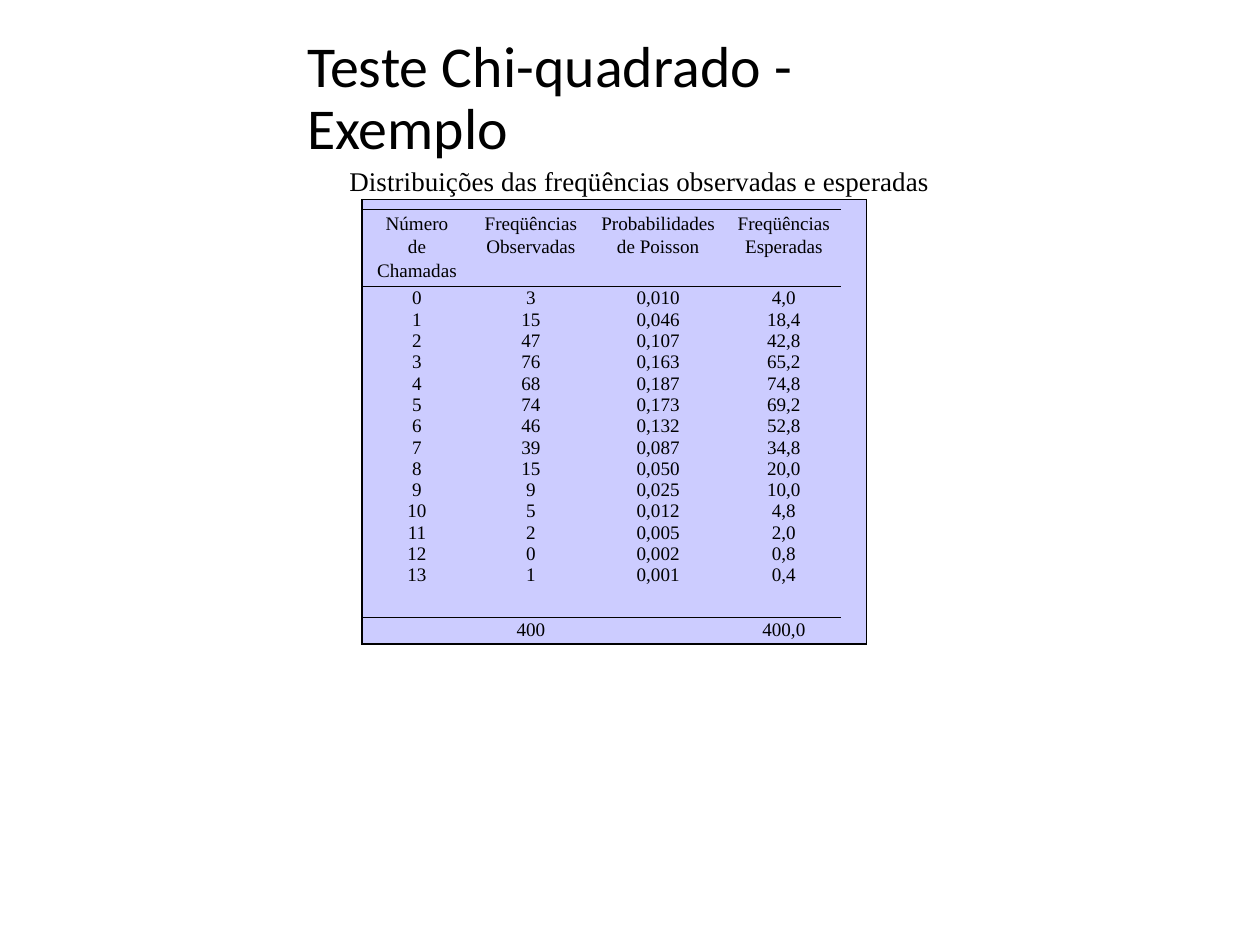
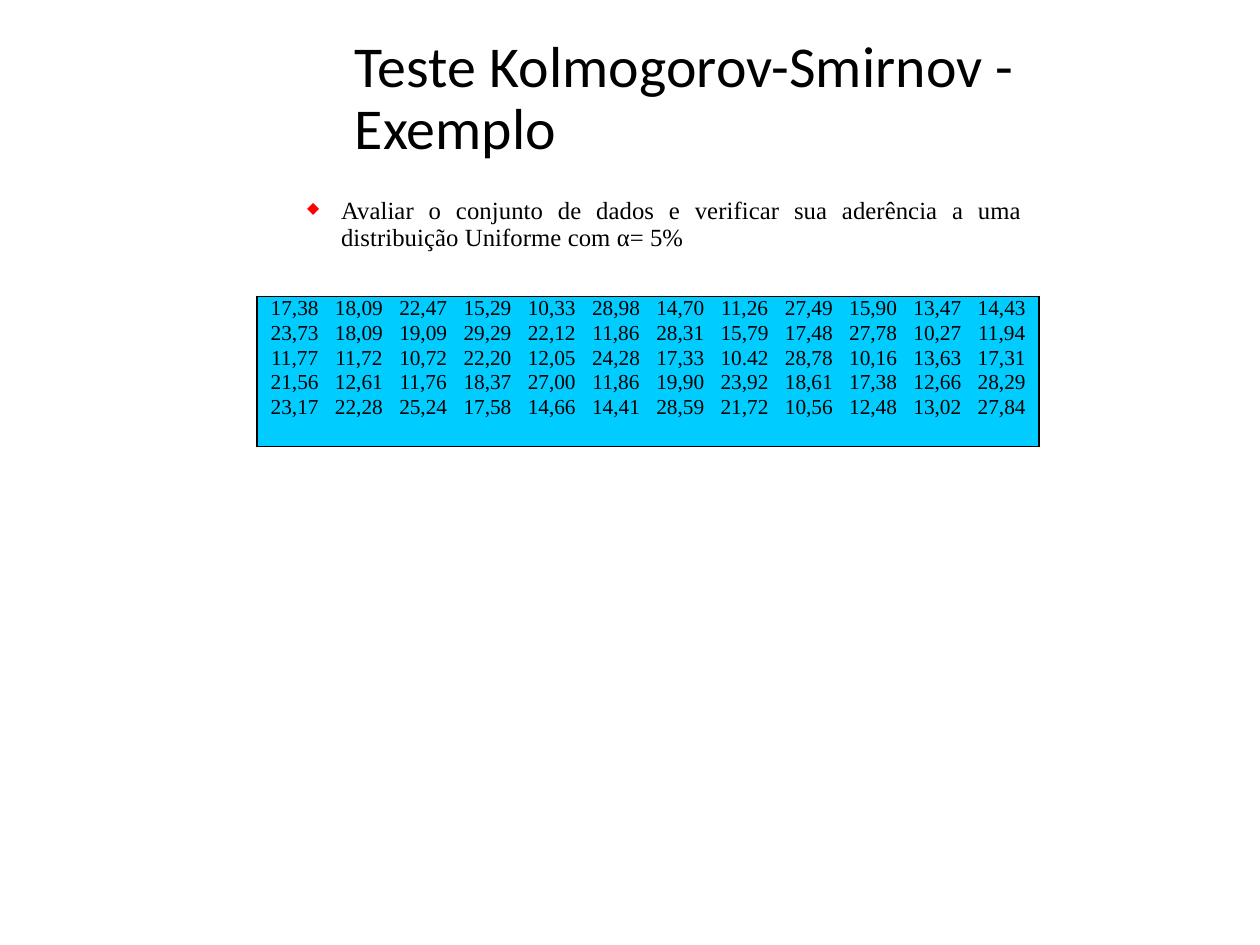
from lxml.etree import SubElement
from pptx import Presentation
from pptx.dml.color import RGBColor
from pptx.enum.text import MSO_ANCHOR, PP_ALIGN
from pptx.oxml.ns import qn
from pptx.util import Cm, Pt

BLACK = RGBColor(0x00, 0x00, 0x00)
LILAC = RGBColor(0xCC, 0xCC, 0xFF)
CYAN = RGBColor(0x00, 0xCC, 0xFF)
BULLET_RED = "FF0000"
TITLE_FONT = "Calibri"
BODY_FONT = "Times New Roman"
OUTER_LINE = 1.5


def add_text(slide, left, top, width, height, text, font_name, size):
    shape = slide.shapes.add_textbox(Cm(left), Cm(top), Cm(width), Cm(height))
    frame = shape.text_frame
    frame.word_wrap = True
    frame.margin_left = frame.margin_right = frame.margin_bottom = 0
    frame.margin_top = Cm(0.05)
    paragraph = frame.paragraphs[0]
    paragraph.text = text
    paragraph.font.name = font_name
    paragraph.font.size = Pt(size)
    paragraph.font.color.rgb = BLACK
    paragraph.runs[0]._r.get_or_add_rPr().set("spc", "10")
    return frame, paragraph


def add_grid(slide, left, top, widths, heights, rows, fill, size, spacing, rule=0, merges=()):
    table = slide.shapes.add_table(
        len(heights), len(widths), Cm(left), Cm(top), Cm(sum(widths)), Cm(sum(heights))
    ).table
    table.first_row = table.horz_banding = False
    for column, width in zip(table.columns, widths):
        column.width = Cm(width)
    for row, height in zip(table.rows, heights):
        row.height = Cm(height)
    for first_row, first_column, last_row, last_column in merges:
        table.cell(first_row, first_column).merge(table.cell(last_row, last_column))
    for row_index, texts in enumerate(rows):
        for column_index, text in enumerate(texts):
            cell = table.cell(row_index, column_index)
            inner = 0 if cell.is_spanned else rule
            at_right = column_index + cell.span_width == len(widths)
            at_bottom = row_index + cell.span_height == len(heights)
            sides = {
                "L": 0 if column_index else OUTER_LINE,
                "R": OUTER_LINE if at_right else 0,
                "T": inner if row_index else OUTER_LINE,
                "B": OUTER_LINE if at_bottom else inner,
            }
            properties = cell._tc.get_or_add_tcPr()
            for side, line_width in sides.items():
                line = SubElement(properties, qn("a:ln" + side), w=str(Pt(line_width)))
                if line_width:
                    SubElement(SubElement(line, qn("a:solidFill")), qn("a:srgbClr"), val=str(BLACK))
                else:
                    SubElement(line, qn("a:noFill"))
            cell.fill.solid()
            cell.fill.fore_color.rgb = fill
            cell.margin_left = cell.margin_right = cell.margin_top = cell.margin_bottom = 0
            if not text:
                SubElement(cell.text_frame.paragraphs[0]._p, qn("a:endParaRPr"), sz="100")
                continue
            cell.text_frame.text = text
            for paragraph in cell.text_frame.paragraphs:
                paragraph.alignment = PP_ALIGN.CENTER
                paragraph.line_spacing = Pt(spacing)
                paragraph.font.name = BODY_FONT
                paragraph.font.size = Pt(size)
                paragraph.font.color.rgb = BLACK
    return table


presentation = Presentation()
presentation.slide_width = Cm(39.6)
presentation.slide_height = Cm(29.7)

slides = []
for title, left, width in (
    ("Teste Chi-quadrado - Exemplo", 9.65, 16.46),
    ("Teste Kolmogorov-Smirnov - Exemplo", 11.15, 27.1),
):
    slide = presentation.slides.add_slide(presentation.slide_layouts[6])
    frame, paragraph = add_text(slide, left, 1.12, width, 4, title, TITLE_FONT, 51.5)
    frame.vertical_anchor = MSO_ANCHOR.MIDDLE
    paragraph.line_spacing = 0.9
    slides.append(slide)
chi_slide, kolmogorov_slide = slides

observed = "3 15 47 76 68 74 46 39 15 9 5 2 0 1"
probabilities = (
    "0,010 0,046 0,107 0,163 0,187 0,173 0,132 0,087 0,050 0,025 0,012 0,005 0,002 0,001"
)
expected = "4,0 18,4 42,8 65,2 74,8 69,2 52,8 34,8 20,0 10,0 4,8 2,0 0,8 0,4"
calls = " ".join(str(number) for number in range(14))
frequency_rows = [
    [""] * 5,
    ["Número\nde Chamadas", "Freqüências Observadas", "Probabilidades de Poisson",
     "Freqüências Esperadas", ""],
    [values.replace(" ", "\n") for values in (calls, observed, probabilities, expected)] + [""],
    ["", "400", "", "400,0", ""],
]
frequency_table = add_grid(
    chi_slide, 11.38, 6.27, [3.45, 3.71, 4.29, 3.61, 0.79], [0.3, 2.42, 10.43, 0.82],
    frequency_rows, LILAC, 17, 19, rule=1, merges=[(0, 0, 0, 3), (0, 4, 3, 4)],
)
for row_index in range(1, 4):
    for column_index in range(4):
        cell = frequency_table.cell(row_index, column_index)
        cell.margin_top = Cm(0.05)
        if row_index == 1:
            cell.margin_left = cell.margin_right = Cm(0.2)
            for paragraph in cell.text_frame.paragraphs:
                paragraph.line_spacing = Pt(21)

frame, paragraph = add_text(
    chi_slide, 10.98, 5.13, 18.29, 1.07,
    "Distribuições das freqüências observadas e esperadas", BODY_FONT, 24,
)
paragraph.space_before = Pt(1.3)

frame, paragraph = add_text(
    kolmogorov_slide, 9.63, 6.15, 22.5, 1.83,
    "Avaliar o conjunto de dados e verificar sua aderência a uma "
    "distribuição Uniforme com α= 5%", BODY_FONT, 22,
)
paragraph.alignment = PP_ALIGN.JUSTIFY
paragraph.line_spacing = Pt(24.2)
paragraph.space_before = Pt(3.6)
properties = paragraph._p.get_or_add_pPr()
properties.set("marL", str(Cm(1.09)))
properties.set("indent", str(Cm(-1.07)))
bullet_parts = [SubElement(properties, qn("a:buClr")),
                SubElement(properties, qn("a:buSzPct"), val="64000"),
                SubElement(properties, qn("a:buChar"), char="◆")]
SubElement(bullet_parts[0], qn("a:srgbClr"), val=BULLET_RED)
default_font = properties.find(qn("a:defRPr"))
for part in bullet_parts:
    default_font.addprevious(part)

samples = (
    "17,38 18,09 22,47 15,29 10,33 28,98 14,70 11,26 27,49 15,90 13,47 14,43",
    "23,73 18,09 19,09 29,29 22,12 11,86 28,31 15,79 17,48 27,78 10,27 11,94",
    "11,77 11,72 10,72 22,20 12,05 24,28 17,33 10.42 28,78 10,16 13,63 17,31",
    "21,56 12,61 11,76 18,37 27,00 11,86 19,90 23,92 18,61 17,38 12,66 28,29",
    "23,17 22,28 25,24 17,58 14,66 14,41 28,59 21,72 10,56 12,48 13,02 27,84",
)
sample_table = add_grid(
    kolmogorov_slide, 8.08, 9.32, [2.19] + [2.02] * 10 + [2.19], [0.78] * 4 + [1.6],
    [sample.split() for sample in samples], CYAN, 19, 21,
)
for row_index in range(len(samples)):
    sample_table.cell(row_index, 0).margin_left = Cm(0.17)
    sample_table.cell(row_index, 11).margin_right = Cm(0.17)

presentation.save("out.pptx")
